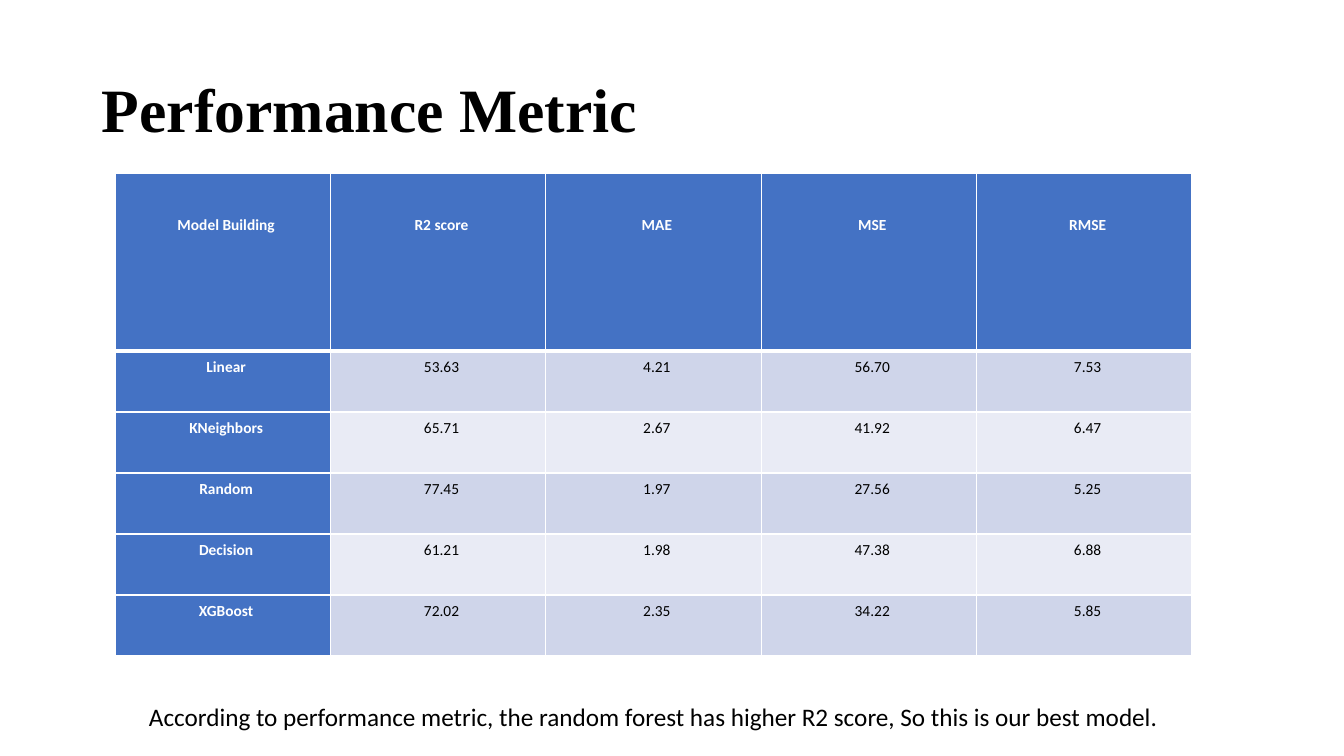
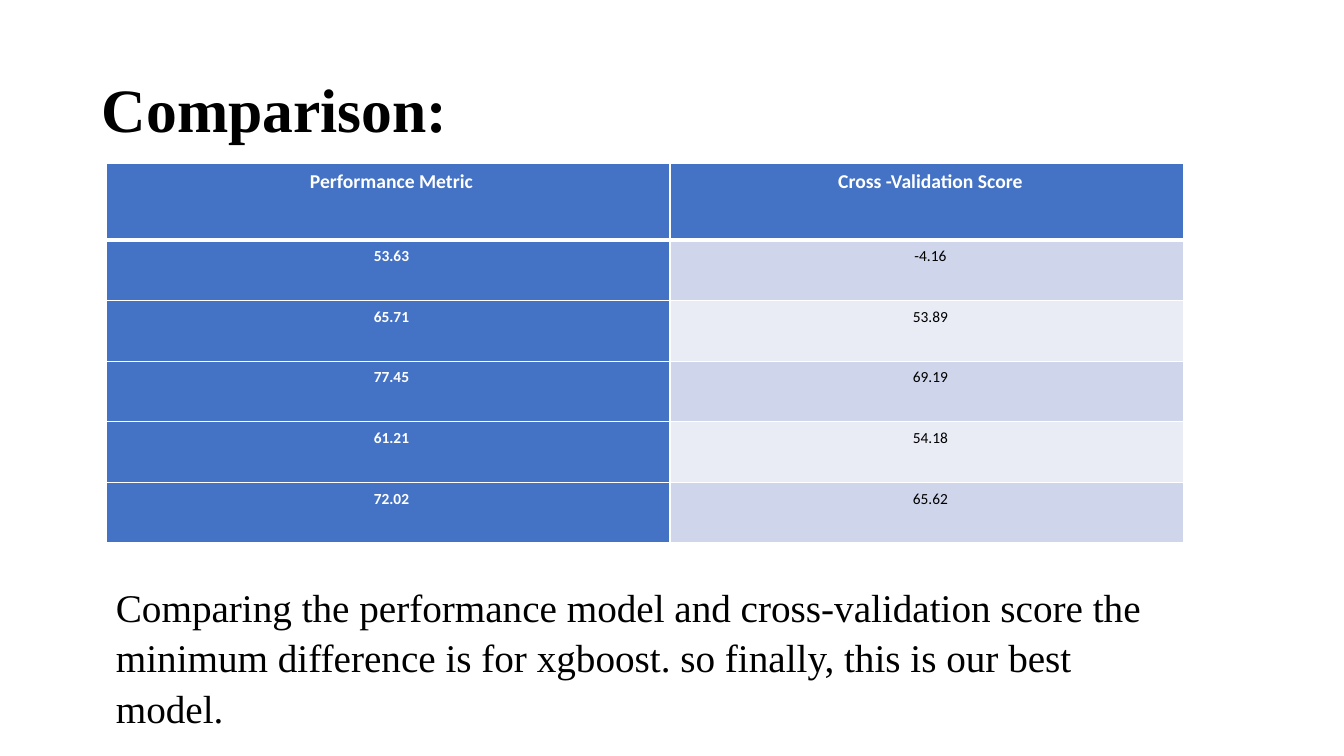
"""Build two slides that compare regression models in tables."""
from dataclasses import dataclass

from lxml import etree
from pptx import Presentation
from pptx import util as u
from pptx.dml.color import RGBColor
from pptx.enum import text
from pptx.oxml import ns

PX = 914400 / 100.8
SERIF, SANS = "Times New Roman", "Calibri"
BLACK, WHITE, BLUE = "000000", "FFFFFF", "4472C4"
BANDS = ("CFD5EA", "E9EBF5")


@dataclass
class Box:
    x: int
    y: int
    w: int
    h: int


@dataclass
class Font:
    name: str
    size: int
    color: str = BLACK
    bold: bool = False


@dataclass
class Note:
    words: str
    box: Box
    font: Font
    line: float = 1.0
    after: int = 0


@dataclass
class Grid:
    box: Box
    cols: list[float]
    head: int
    top: int
    size: int
    rows: list[list[str]]


@dataclass
class Page:
    title: str
    note: Note
    grid: Grid


def px(n: float) -> u.Emu:
    return u.Emu(round(n * PX))


def rgb(code: str) -> RGBColor:
    return RGBColor.from_string(code)


def style(para, font: Font) -> None:
    for run in para.runs:
        run.font.name = font.name
        run.font.size = u.Pt(font.size)
        run.font.bold = font.bold
        run.font.color.rgb = rgb(font.color)


def add_note(slide, note: Note, anchor=text.MSO_ANCHOR.TOP) -> None:
    box = note.box
    frame = slide.shapes.add_textbox(px(box.x), px(box.y), px(box.w), px(box.h)).text_frame
    frame.word_wrap = True
    frame.vertical_anchor = anchor
    frame.text = note.words
    para = frame.paragraphs[0]
    para.line_spacing = note.line
    para.space_after = u.Pt(note.after)
    style(para, note.font)


def add_edges(cell, top: int, low: int) -> None:
    props = cell._tc.get_or_add_tcPr()
    for side, width in (("L", 1), ("R", 1), ("T", top), ("B", low)):
        line = etree.SubElement(props, ns.qn(f"a:ln{side}"), w=str(u.Pt(width)))
        fill = etree.SubElement(line, ns.qn("a:solidFill"))
        etree.SubElement(fill, ns.qn("a:srgbClr"), val=WHITE)


def fill_cell(cell, words: str, grid: Grid, row: int, col: int) -> None:
    head = row == 0
    key = head or col == 0
    add_edges(cell, 3 if row == 1 else 1, 3 if head else 1)
    cell.fill.solid()
    cell.fill.fore_color.rgb = rgb(BLUE if key else BANDS[(row - 1) % 2])
    cell.margin_left = px(7)
    cell.margin_top = px(grid.top if head else 7)
    cell.margin_right = cell.margin_bottom = 0
    cell.text_frame.text = words
    para = cell.text_frame.paragraphs[0]
    para.alignment = text.PP_ALIGN.CENTER
    para.space_after = u.Pt(12)
    style(para, Font(SANS, grid.size if head else 11, WHITE if key else BLACK, key))


def add_grid(slide, grid: Grid) -> None:
    box, count = grid.box, len(grid.rows)
    table = slide.shapes.add_table(
        count, len(grid.cols), px(box.x), px(box.y), px(box.w), px(box.h)).table
    for col, width in zip(table.columns, grid.cols):
        col.width = px(width)
    for row, cells in enumerate(grid.rows):
        table.rows[row].height = px((box.h - grid.head) / (count - 1) if row else grid.head)
        for col, words in enumerate(cells):
            fill_cell(table.cell(row, col), words, grid, row, col)


def add_page(deck, page: Page) -> None:
    slide = deck.slides.add_slide(deck.slide_layouts[6])
    title = Note(page.title, Box(92, 40, 1159, 146), Font(SERIF, 44, bold=True), 0.9)
    add_note(slide, title, text.MSO_ANCHOR.MIDDLE)
    add_note(slide, page.note)
    add_grid(slide, page.grid)


PAGES = [
    Page(
        "Performance Metric",
        Note("According to performance metric, the random forest has higher R2 score, "
             "So this is our best model.",
             Box(139, 696, 1092, 40), Font(SANS, 18)),
        Grid(Box(115, 173, 1077, 483), [1077 / 5] * 5, 178, 43, 11, [
            ["Model Building", "R2 score", "MAE", "MSE", "RMSE"],
            ["Linear", "53.63", "4.21", "56.70", "7.53"],
            ["KNeighbors", "65.71", "2.67", "41.92", "6.47"],
            ["Random", "77.45", "1.97", "27.56", "5.25"],
            ["Decision", "61.21", "1.98", "47.38", "6.88"],
            ["XGBoost", "72.02", "2.35", "34.22", "5.85"],
        ]),
    ),
    Page(
        "Comparison:",
        Note("Comparing the performance model and cross-validation score the minimum "
             "difference is for xgboost. so finally, this is our best model.",
             Box(106, 575, 1079, 160), Font(SERIF, 28), 1.07, 8),
        Grid(Box(106, 163, 1078, 380), [564, 514], 77, 7, 14, [
            ["Performance Metric", "Cross -Validation Score"],
            ["53.63", "-4.16"],
            ["65.71", "53.89"],
            ["77.45", "69.19"],
            ["61.21", "54.18"],
            ["72.02", "65.62"],
        ]),
    ),
]


def main() -> None:
    deck = Presentation()
    deck.slide_width, deck.slide_height = px(1344), px(756)
    for page in PAGES:
        add_page(deck, page)
    deck.save("out.pptx")


if __name__ == "__main__":
    main()
